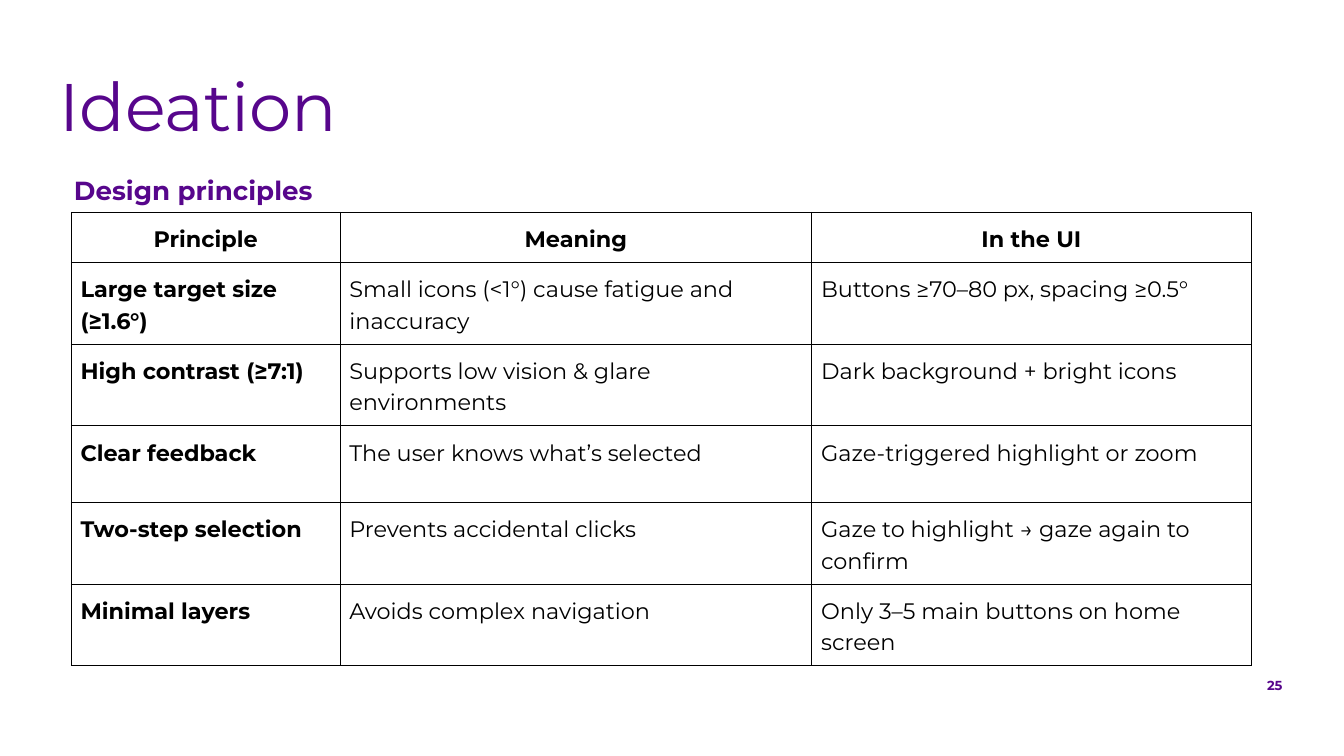
from dataclasses import dataclass

from lxml.etree import SubElement
from pptx import Presentation
from pptx.dml.color import RGBColor
from pptx.enum.text import MSO_ANCHOR as Anchor, MSO_AUTO_SIZE as AutoSize, PP_ALIGN as Align
from pptx.oxml.ns import qn
from pptx.util import Inches, Pt


@dataclass(frozen=True)
class Theme:
    font: str = "Montserrat"
    accent: RGBColor = RGBColor(0x57, 0x06, 0x8C)
    ink: RGBColor = RGBColor(0, 0, 0)
    title_size: int = 36
    heading_size: int = 14
    table_size: int = 12
    number_size: int = 7


theme = Theme()


def add_run(paragraph, text, size, color, bold=False):
    run = paragraph.add_run()
    run.text = text
    run.font.name = theme.font
    run.font.size = Pt(size)
    run.font.bold = bold
    run.font.color.rgb = color


def set_frame(shape, left, top, width, height, anchor):
    shape.left, shape.top = Inches(left), Inches(top)
    shape.width, shape.height = Inches(width), Inches(height)
    frame = shape.text_frame
    frame.word_wrap = True
    frame.auto_size = AutoSize.NONE
    frame.vertical_anchor = anchor
    frame.margin_left = frame.margin_right = Inches(0.1)
    frame.margin_top = frame.margin_bottom = Inches(0.1)
    return frame.paragraphs[0]


presentation = Presentation()
presentation.slide_width = Inches(10)
presentation.slide_height = Inches(10) * 9 // 16
slide = presentation.slides.add_slide(presentation.slide_layouts[1])

title = set_frame(slide.shapes.title, 0.34, 0.47, 9.13, 0.65, Anchor.TOP)
title.alignment = Align.LEFT
title.line_spacing = 0.85
add_run(title, "Ideation", theme.title_size, theme.accent)

heading = set_frame(slide.placeholders[1], 0.45, 1.14, 4.2, 0.43, Anchor.MIDDLE)
properties = heading._p.get_or_add_pPr()
properties.set("marL", "0")
properties.set("indent", "0")
SubElement(properties, qn("a:buNone"))
heading.alignment = Align.LEFT
heading.line_spacing = 1.5
heading.space_before = Pt(0)
heading.space_after = Pt(12)
add_run(heading, "Design principles", theme.heading_size, theme.accent, True)

rows = [
    ("Principle", "Meaning", "In the UI"),
    ("Large target size (≥1.6°)", "Small icons (<1°) cause fatigue and inaccuracy",
     "Buttons ≥70–80 px, spacing ≥0.5°"),
    ("High contrast (≥7:1)", "Supports low vision & glare environments",
     "Dark background + bright icons"),
    ("Clear feedback", "The user knows what’s selected", "Gaze-triggered highlight or zoom"),
    ("Two-step selection", "Prevents accidental clicks",
     "Gaze to highlight → gaze again to confirm"),
    ("Minimal layers", "Avoids complex navigation", "Only 3–5 main buttons on home screen"),
]
column_widths = [2, 3.51, 3.27]
row_heights = [0.37, 0.6, 0.6, 0.57, 0.6, 0.6]

table = slide.shapes.add_table(
    len(rows), len(column_widths), Inches(0.53), Inches(1.58),
    Inches(sum(column_widths)), Inches(sum(row_heights)),
).table
table.horz_banding = False
for column, width in zip(table.columns, column_widths):
    column.width = Inches(width)

for row_index, (texts, height) in enumerate(zip(rows, row_heights)):
    table.rows[row_index].height = Inches(height)
    for column_index, text in enumerate(texts):
        cell = table.cell(row_index, column_index)
        cell.margin_left = cell.margin_right = Inches(0.07)
        cell.margin_top = cell.margin_bottom = Inches(0.07)
        cell.vertical_anchor = Anchor.TOP
        cell_properties = cell._tc.get_or_add_tcPr()
        for side in ("lnL", "lnR", "lnT", "lnB"):
            border = SubElement(cell_properties, qn(f"a:{side}"), w=str(Pt(0.5)))
            border_fill = SubElement(border, qn("a:solidFill"))
            SubElement(border_fill, qn("a:srgbClr"), val=str(theme.ink))
        cell.fill.background()
        paragraph = cell.text_frame.paragraphs[0]
        paragraph.alignment = Align.CENTER if row_index == 0 else Align.LEFT
        paragraph.line_spacing = 1.15
        add_run(paragraph, text, theme.table_size, theme.ink, row_index == 0 or column_index == 0)

number_box = slide.shapes.add_textbox(0, 0, 0, 0)
number = set_frame(number_box, 5.05, 4.94, 4.59, 0.34, Anchor.TOP)
number.alignment = Align.RIGHT
add_run(number, "25", theme.number_size, theme.accent, True)

presentation.save("out.pptx")
